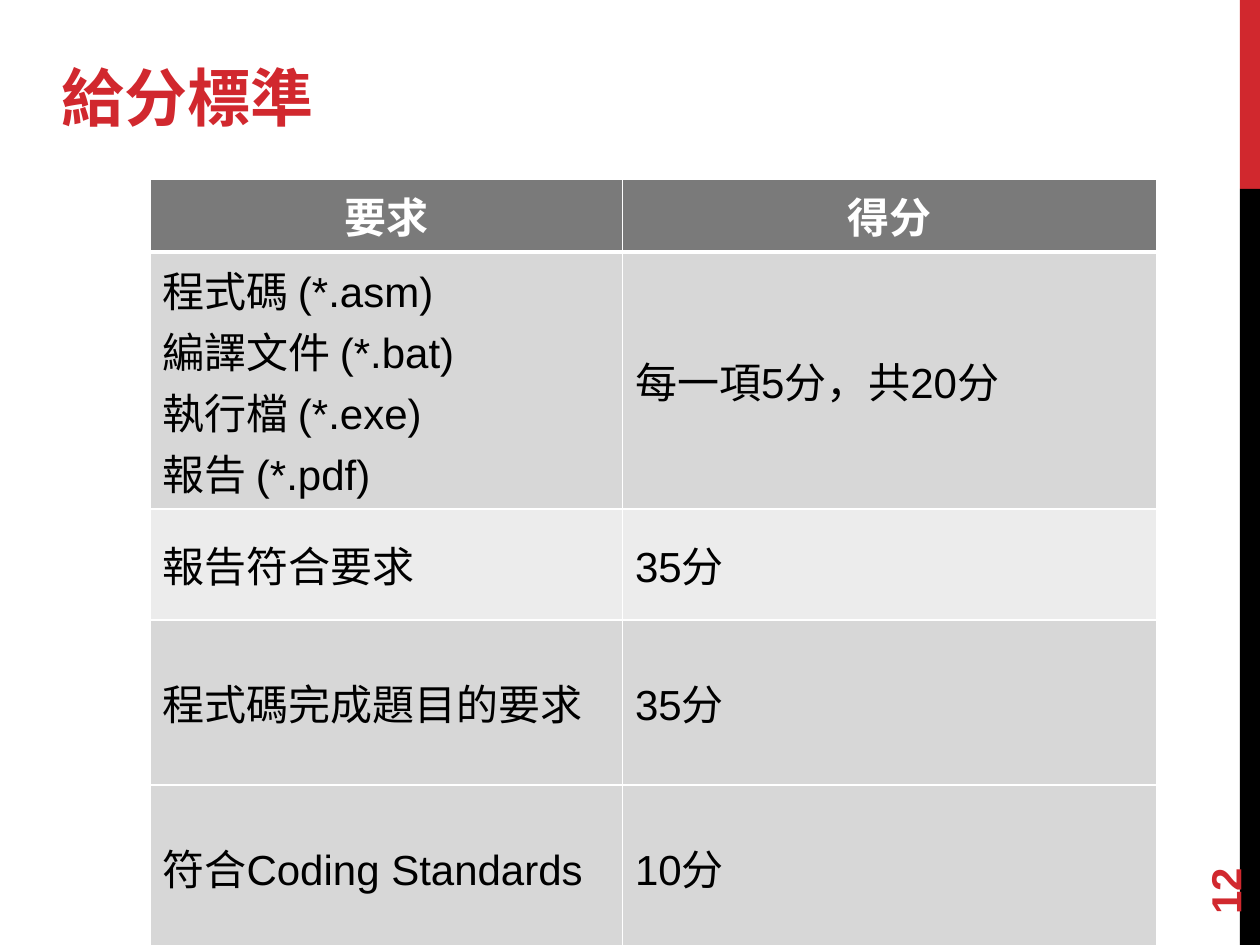
from pptx import Presentation
from pptx.dml.color import RGBColor
from pptx.enum.shapes import MSO_SHAPE
from pptx.enum.text import MSO_ANCHOR as Anchor, PP_ALIGN as Align
from pptx.oxml import parse_xml
from pptx.oxml.ns import nsdecls
from pptx.util import Inches, Pt

RED, BLACK, WHITE = "D1282E", "000000", "FFFFFF"
HEADER, DARK_BAND, LIGHT_BAND = "7A7A7A", "D7D7D7", "ECECEC"


def color(value):
    return RGBColor.from_string(value)


def write(frame, text, size=24, font="Arial", fill=BLACK, bold=False,
          align=Align.LEFT):
    """Fill a text frame, one paragraph per line of text."""
    for index, line in enumerate(text.split("\n")):
        paragraph = frame.add_paragraph() if index else frame.paragraphs[0]
        paragraph.alignment = align
        run = paragraph.add_run()
        run.text = line
        run.font.size = Pt(size)
        run.font.name = font
        run.font.bold = bold
        run.font.color.rgb = color(fill)


presentation = Presentation()
presentation.slide_width = Inches(10)
presentation.slide_height = Inches(7.5)
slide = presentation.slides.add_slide(presentation.slide_layouts[6])

# Side bar: red above black
for top, height, fill in [(0, 1.5, RED), (1.5, 6, BLACK)]:
    bar = slide.shapes.add_shape(MSO_SHAPE.RECTANGLE, Inches(9.84), Inches(top),
                                 Inches(0.16), Inches(height))
    bar.shadow.inherit = False
    bar.fill.solid()
    bar.fill.fore_color.rgb = color(fill)
    bar.line.fill.background()

# Title
title = slide.shapes.add_textbox(Inches(0.39), Inches(0.27), Inches(4.89), Inches(0.84))
title.text_frame.word_wrap = True
title.text_frame.vertical_anchor = Anchor.BOTTOM
write(title.text_frame, "給分標準", size=36, font="Montserrat", fill=RED, bold=True)

# Grading table: row height, fill, requirement, score
rows = [
    (0.58, HEADER, "要求", "得分"),
    (2.04, DARK_BAND,
     "程式碼 (*.asm)\n編譯文件 (*.bat)\n執行檔 (*.exe)\n報告 (*.pdf)",
     "每一項5分，共20分"),
    (0.88, LIGHT_BAND, "報告符合要求", "35分"),
    (1.31, DARK_BAND, "程式碼完成題目的要求", "35分"),
    (1.31, DARK_BAND, "符合Coding Standards", "10分"),
]
column_widths = [3.75, 4.24]
table = slide.shapes.add_table(
    len(rows), len(column_widths), Inches(1.19), Inches(1.42),
    Inches(sum(column_widths)), Inches(sum(row[0] for row in rows))).table
for column, width in zip(table.columns, column_widths):
    column.width = Inches(width)

for row_index, (height, fill, *texts) in enumerate(rows):
    table.rows[row_index].height = Inches(height)
    is_header = row_index == 0
    for column_index, text in enumerate(texts):
        cell = table.cell(row_index, column_index)
        if is_header:
            write(cell.text_frame, text, fill=WHITE, bold=True, align=Align.CENTER)
        else:
            cell.vertical_anchor = Anchor.MIDDLE
            write(cell.text_frame, text)

        # White borders, thick between header and body; they precede the fill
        thick_side = {0: "lnB", 1: "lnT"}.get(row_index)
        properties = cell._tc.get_or_add_tcPr()
        for side in ("lnL", "lnR", "lnT", "lnB"):
            line_width = Pt(3 if side == thick_side else 1)
            properties.append(parse_xml(
                f'<a:{side} {nsdecls("a")} w="{line_width}"><a:solidFill>'
                f'<a:srgbClr val="{WHITE}"/></a:solidFill></a:{side}>'))
        cell.fill.solid()
        cell.fill.fore_color.rgb = color(fill)

# Page number, reading upwards
number = slide.shapes.add_textbox(Inches(9), Inches(6.44), Inches(1.44), Inches(0.4))
number.rotation = 270
number.text_frame.word_wrap = True
number.text_frame.vertical_anchor = Anchor.MIDDLE
write(number.text_frame, "12", fill=RED, bold=True)

presentation.save("out.pptx")
